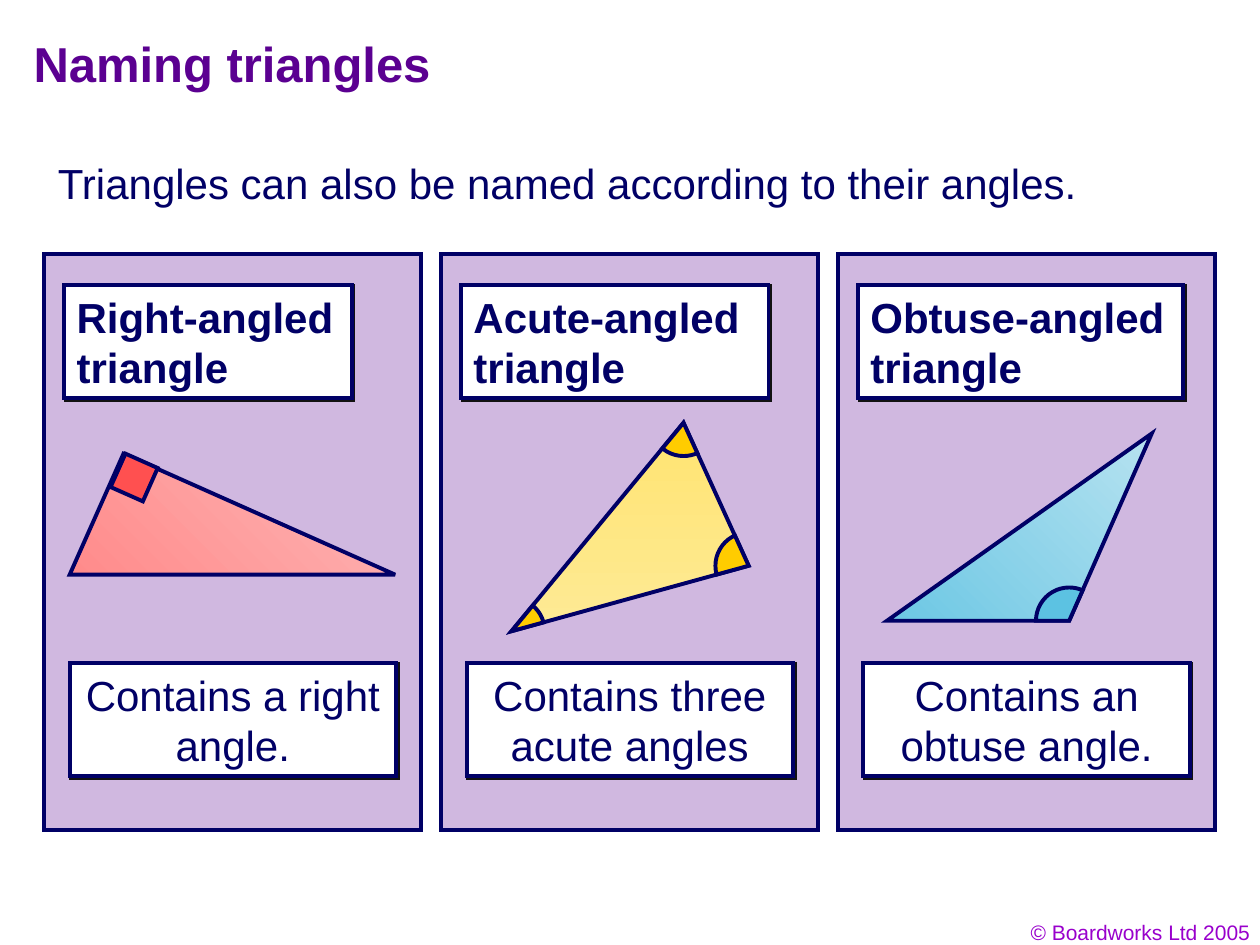
from math import atan2, degrees

from lxml import etree
from pptx import Presentation
from pptx.dml.color import RGBColor
from pptx.enum.shapes import MSO_SHAPE
from pptx.enum.text import MSO_ANCHOR, PP_ALIGN
from pptx.oxml.ns import qn
from pptx.util import Pt

RECTANGLE, PIE = MSO_SHAPE.RECTANGLE, MSO_SHAPE.PIE
RIGHT_TRIANGLE = MSO_SHAPE.RIGHT_TRIANGLE
LEFT, CENTER, RIGHT = PP_ALIGN.LEFT, PP_ALIGN.CENTER, PP_ALIGN.RIGHT
MIDDLE = MSO_ANCHOR.MIDDLE

COLORS = {
    "title": "5B0091", "text": "010066", "credit": "9900CC",
    "outline": "000066", "panel": "D0B8E0", "white": "FFFFFF", "shadow": "111111",
    "red light": "FEB6B6", "red dark": "FF7F7F", "red mark": "FF5050",
    "yellow dark": "FFE471", "yellow light": "FEEA95", "yellow mark": "FFCC00",
    "blue light": "B6E2F0", "blue dark": "6CC7E4", "blue mark": "5CC2E2",
}
OUTLINE_WIDTH = 2.25
PANEL_LEFT, PANEL_TOP, PANEL_WIDTH, PANEL_HEIGHT = 25.2, 145.4, 215.3, 329
PANEL_PITCH = 226.8
BOX_HEIGHT = 64.8
MARK_RADIUS = 19


def write(box, text, size=24, color="text", bold=False, align=LEFT, wrap=True):
    frame = box.text_frame
    frame.word_wrap = wrap
    frame.vertical_anchor = MIDDLE
    frame.margin_left = frame.margin_right = Pt(7.2)
    frame.margin_top = frame.margin_bottom = Pt(3.6)
    para = frame.paragraphs[0]
    para.alignment = align
    span = para.add_run()
    span.text = text
    span.font.name = "Arial"
    span.font.size = Pt(size)
    span.font.bold = bold
    span.font.color.rgb = RGBColor.from_string(COLORS[color])


def paint(shape, *fills, angle=0, shadow=False):
    """Outline a shape and fill it with one colour, or a gradient of two."""
    shape.shadow.inherit = False
    if len(fills) == 1:
        shape.fill.solid()
        shape.fill.fore_color.rgb = RGBColor.from_string(COLORS[fills[0]])
    else:
        shape.fill.gradient()
        shape.fill.gradient_angle = angle
        for stop, name in zip(shape.fill.gradient_stops, fills):
            stop.color.rgb = RGBColor.from_string(COLORS[name])
        shape._element.spPr.find(qn("a:gradFill")).set("rotWithShape", "0")
    shape.line.color.rgb = RGBColor.from_string(COLORS["outline"])
    shape.line.width = Pt(OUTLINE_WIDTH)
    line = shape._element.spPr.find(qn("a:ln"))
    etree.SubElement(line, qn("a:miter"), lim="800000")
    if shadow:
        effects = shape._element.spPr.find(qn("a:effectLst"))
        outer = etree.SubElement(effects, qn("a:outerShdw"), dist=str(Pt(1.4)),
                                 dir="2700000", algn="ctr", rotWithShape="0")
        etree.SubElement(outer, qn("a:srgbClr"), val=COLORS["shadow"])


deck = Presentation()
deck.slide_width, deck.slide_height = Pt(720), Pt(540)
page = deck.slides.add_slide(deck.slide_layouts[5])

# Title, introduction and copyright line
title = page.shapes.title
title.left, title.top, title.width, title.height = Pt(12), Pt(12), Pt(612), Pt(48)
write(title, "Naming triangles", size=28, color="title", bold=True)
intro = page.shapes.add_textbox(Pt(26), Pt(86.4), Pt(597), Pt(36))
write(intro, "Triangles can also be named according to their angles.", wrap=False)
credit = page.shapes.add_textbox(Pt(553.5), Pt(522), Pt(168), Pt(21.6))
write(credit, "© Boardworks Ltd 2005", size=12, color="credit", align=RIGHT)

# Panels, each with a name and a definition
panels = [
    ("Right-angled triangle", 164.2, "Contains a right angle."),
    ("Acute-angled triangle", 175.7, "Contains three acute angles"),
    ("Obtuse-angled triangle", 185.8, "Contains an obtuse angle."),
]
groups = []
for index, (name, name_width, definition) in enumerate(panels):
    left = PANEL_LEFT + index * PANEL_PITCH
    group = page.shapes.add_group_shape()
    groups.append(group.shapes)
    panel = group.shapes.add_shape(
        RECTANGLE, Pt(left), Pt(PANEL_TOP), Pt(PANEL_WIDTH), Pt(PANEL_HEIGHT))
    paint(panel, "panel")
    name_box = group.shapes.add_shape(
        RECTANGLE, Pt(left + 11.5), Pt(162.7), Pt(name_width), Pt(BOX_HEIGHT))
    paint(name_box, "white", shadow=True)
    write(name_box, name, bold=True)
    definition_box = group.shapes.add_shape(
        RECTANGLE, Pt(left + 14.6), Pt(378.7), Pt(186.5), Pt(BOX_HEIGHT))
    paint(definition_box, "white", shadow=True)
    write(definition_box, definition, align=CENTER)

# Right-angled triangle with its square mark
right_triangle = groups[0].add_shape(
    RIGHT_TRIANGLE, Pt(95), Pt(243.4), Pt(75.6), Pt(169.9))
paint(right_triangle, "red light", "red dark", angle=225)
square_mark = groups[0].add_shape(RECTANGLE, Pt(66.2), Pt(262.8), Pt(20.9), Pt(20.2))
paint(square_mark, "red mark")
right_triangle.rotation = square_mark.rotation = 114

# Acute and obtuse triangles: corners run clockwise, marked corners by index
triangles = [
    (groups[1], [(292.3, 360.7), (390.6, 241.6), (427.8, 323.3)],
     ("yellow dark", "yellow light"), 270, "yellow mark", (0, 1, 2)),
    (groups[2], [(506.9, 354.7), (658.2, 247.7), (611, 354.7)],
     ("blue light", "blue dark"), 225, "blue mark", (2,)),
]
for shapes, corners, fills, angle, mark_fill, marked in triangles:
    points = [(Pt(x), Pt(y)) for x, y in corners]
    builder = shapes.build_freeform(*points[0])
    builder.add_line_segments(points[1:], close=True)
    paint(builder.convert_to_shape(), *fills, angle=angle)
    for index in marked:
        x, y = corners[index]
        mark = shapes.add_shape(PIE, Pt(x - MARK_RADIUS), Pt(y - MARK_RADIUS),
                                Pt(2 * MARK_RADIUS), Pt(2 * MARK_RADIUS))
        paint(mark, mark_fill)
        # The pie opens clockwise from the next corner to the previous one
        for side, (end_x, end_y) in enumerate((corners[(index + 1) % 3], corners[index - 1])):
            # Adjustments count 100000ths, angles 60000ths of a degree
            mark.adjustments[side] = degrees(atan2(end_y - y, end_x - x)) % 360 * 0.6

deck.save("out.pptx")
